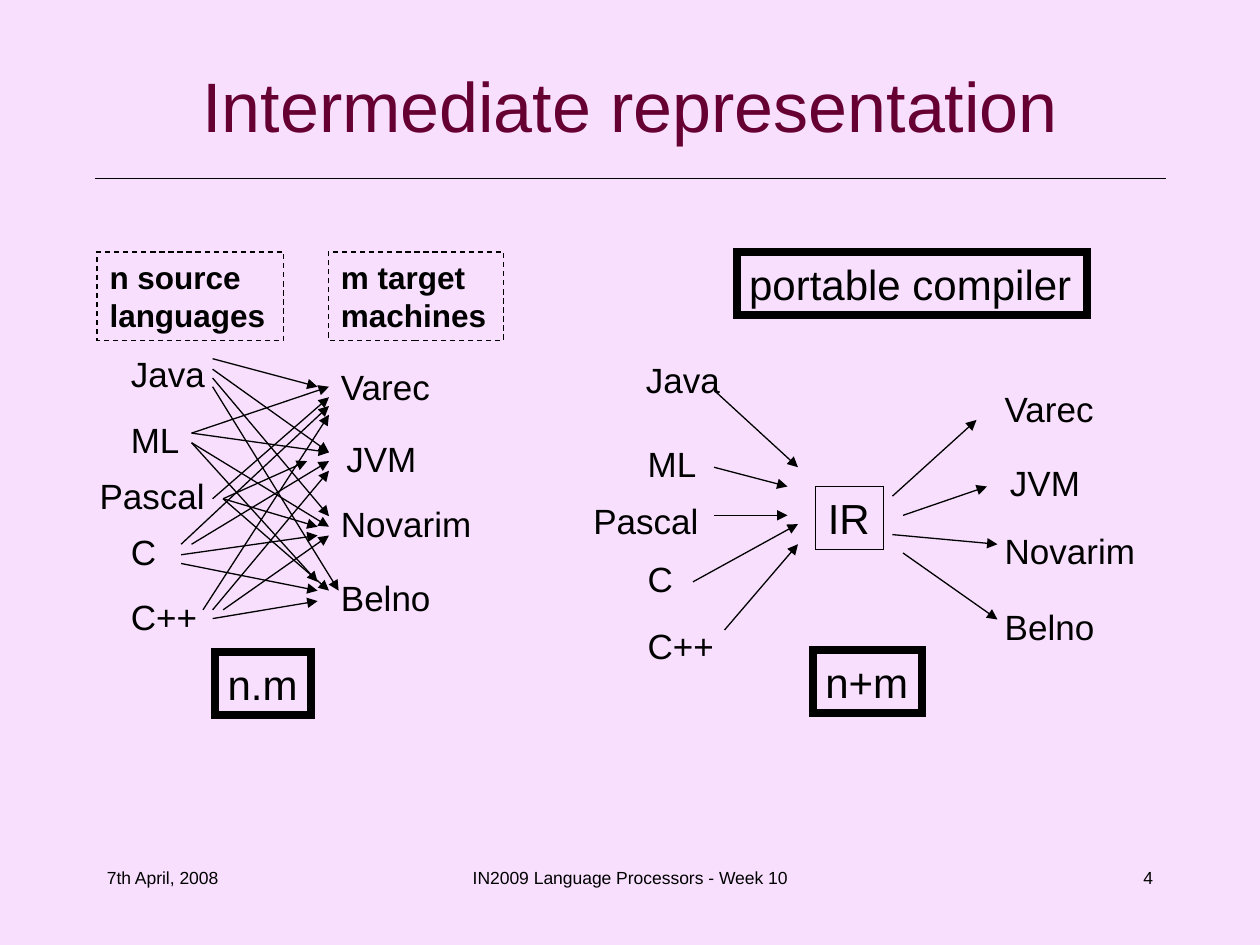
from lxml.etree import SubElement
from pptx import Presentation
from pptx.dml.color import RGBColor
from pptx.enum.dml import MSO_LINE
from pptx.enum.shapes import MSO_CONNECTOR, MSO_SHAPE
from pptx.enum.text import MSO_ANCHOR, MSO_AUTO_SIZE, PP_ALIGN
from pptx.oxml.ns import qn
from pptx.util import Pt

BLACK = "000000"
LABEL_HEIGHT = 31.5

LANGUAGES = ["Java", "ML", "Pascal", "C", "C++"]
LANGUAGE_WIDTHS = [59, 44, 77, 31, 55]
MACHINES = ["Varec", "JVM", "Novarim", "Belno"]
MACHINE_WIDTHS = [69, 57, 92, 68]

DIRECT_LANGUAGE_SPOTS = [(67.7, 198), (67.7, 235.8), (49.8, 267.5), (67.7, 299.5), (67.7, 337)]
DIRECT_MACHINE_SPOTS = [(187.7, 205.5), (190.8, 246.5), (187.7, 283.8), (187.7, 326)]
IR_LANGUAGE_SPOTS = [(362, 201.3), (363, 249.3), (332, 281.8), (363, 315), (363, 353.5)]
IR_MACHINE_SPOTS = [(567, 217.8), (570, 260), (567, 298.8), (567, 342.3)]

DIRECT_ARROWS = [
    (121.5, 205, 181.5, 221), (121.5, 211, 188, 258.5),
    (121.5, 216, 188, 295), (121.5, 221, 193.5, 337.5),
    (109.5, 247.5, 188, 221), (109.5, 247.5, 188, 258.5),
    (109.5, 253, 188, 301), (127.5, 285, 188, 337.5),
    (109.5, 253, 181.5, 332.5), (121.5, 285, 188, 227),
    (127.5, 285, 175.5, 263.5), (127.5, 285, 181.5, 301),
    (103.5, 311, 188, 232), (109.5, 311, 188, 263.5),
    (103.5, 317, 181.5, 306), (103.5, 322, 181.5, 337.5),
    (116, 348.5, 188, 237), (121.5, 348.5, 188, 269),
    (127.5, 348.5, 188, 306), (121.5, 353.5, 181.5, 343.5),
]
IR_ARROWS = [
    (408, 223, 456, 267), (408, 267, 450, 278), (408, 294.5, 450, 294.5),
    (396, 332.5, 456, 299.5), (414, 360, 456, 311),
    (510, 283.5, 558, 240), (516, 294.5, 564, 278),
    (510, 305.5, 570, 311), (516, 316, 570, 354),
]


def rgb(value):
    """Turn a hex string into a colour."""
    return RGBColor.from_string(value)


def add_run(p, text, size, color=BLACK, bold=False):
    """Add one formatted run to a paragraph."""
    r = p.add_run()
    r.text = text
    r.font.name = "Arial"
    r.font.size = Pt(size)
    r.font.bold = bold
    r.font.color.rgb = rgb(color)


def fill_text(sp, text, size, bold=False, align=PP_ALIGN.LEFT):
    """Write a single paragraph into a shape or text box."""
    tf = sp.text_frame
    tf.word_wrap = True
    tf.auto_size = MSO_AUTO_SIZE.NONE
    tf.vertical_anchor = MSO_ANCHOR.TOP
    p = tf.paragraphs[0]
    p.alignment = align
    add_run(p, text, size, bold=bold)


def add_title(s, text):
    """Place and format the title placeholder."""
    sp = s.shapes.title
    sp.left, sp.top, sp.width, sp.height = Pt(36), Pt(24), Pt(648), Pt(72)
    tf = sp.text_frame
    tf.auto_size = MSO_AUTO_SIZE.NONE
    tf.vertical_anchor = MSO_ANCHOR.MIDDLE
    p = tf.paragraphs[0]
    p.alignment = PP_ALIGN.CENTER
    add_run(p, text, 40, "660033")


def add_label(s, text, x, y, w, h=LABEL_HEIGHT, size=20, **style):
    """Add a plain text box."""
    sp = s.shapes.add_textbox(Pt(x), Pt(y), Pt(w), Pt(h))
    fill_text(sp, text, size, **style)


def add_labels(s, names, widths, spots):
    """Add one label for each name at its spot."""
    for name, w, (x, y) in zip(names, widths, spots):
        add_label(s, name, x, y, w)


def add_box(s, text, x, y, w, h=36, size=24, line=4.5, dash=None, **style):
    """Add an unfilled rectangle with a square-cornered outline and text."""
    sp = s.shapes.add_shape(MSO_SHAPE.RECTANGLE, Pt(x), Pt(y), Pt(w), Pt(h))
    sp.shadow.inherit = False
    sp.fill.background()
    sp.line.color.rgb = rgb(BLACK)
    sp.line.width = Pt(line)
    if dash:
        sp.line.dash_style = dash
    SubElement(sp.line._get_or_add_ln(), qn("a:miter"), lim="800000")
    fill_text(sp, text, size, **style)


def add_line(s, x1, y1, x2, y2, arrow=True):
    """Add a thin straight line, with an arrowhead at its end if wanted."""
    c = s.shapes.add_connector(MSO_CONNECTOR.STRAIGHT, Pt(x1), Pt(y1), Pt(x2), Pt(y2))
    c.line.color.rgb = rgb(BLACK)
    c.line.width = Pt(0.75)
    if arrow:
        SubElement(c.line._get_or_add_ln(), qn("a:tailEnd"), type="triangle")
    SubElement(c._element.spPr, qn("a:effectLst"))


def add_direct_side(s):
    """Draw every language compiled directly to every machine."""
    add_labels(s, LANGUAGES, LANGUAGE_WIDTHS, DIRECT_LANGUAGE_SPOTS)
    add_labels(s, MACHINES, MACHINE_WIDTHS, DIRECT_MACHINE_SPOTS)
    for ends in DIRECT_ARROWS:
        add_line(s, *ends)
    add_box(s, "n.m", 123, 372.7, 55)
    for text, x, w in [("n source languages", 55.5, 106.5), ("m target machines", 187.7, 100)]:
        add_box(s, text, x, 144, w, 50.5, 18, 0.75, MSO_LINE.DASH, bold=True)


def add_ir_side(s):
    """Draw the portable compiler built around the IR."""
    add_labels(s, LANGUAGES, LANGUAGE_WIDTHS, IR_LANGUAGE_SPOTS)
    add_labels(s, MACHINES, MACHINE_WIDTHS, IR_MACHINE_SPOTS)
    add_box(s, "IR", 466, 278, 39, line=0.75)
    for ends in IR_ARROWS:
        add_line(s, *ends)
    add_box(s, "n+m", 464.5, 371.5, 62.5)
    add_box(s, "portable compiler", 421, 144, 200)


def add_footer(s):
    """Add the date, course and page number."""
    for text, x, w, align in [
        ("7th April, 2008", 54, 150, PP_ALIGN.LEFT),
        ("IN2009 Language Processors - Week 10", 246, 228, PP_ALIGN.CENTER),
        ("4", 516, 150, PP_ALIGN.RIGHT),
    ]:
        add_label(s, text, x, 492, w, 36, 10, align=align)


def main():
    """Build and save the slide."""
    prs = Presentation()
    prs.slide_width, prs.slide_height = Pt(720), Pt(540)
    s = prs.slides.add_slide(prs.slide_layouts[5])
    s.background.fill.solid()
    s.background.fill.fore_color.rgb = rgb("F7DFFD")
    add_title(s, "Intermediate representation")
    add_line(s, 54, 102, 666, 102, arrow=False)
    add_direct_side(s)
    add_ir_side(s)
    add_footer(s)
    prs.save("out.pptx")


if __name__ == "__main__":
    main()
